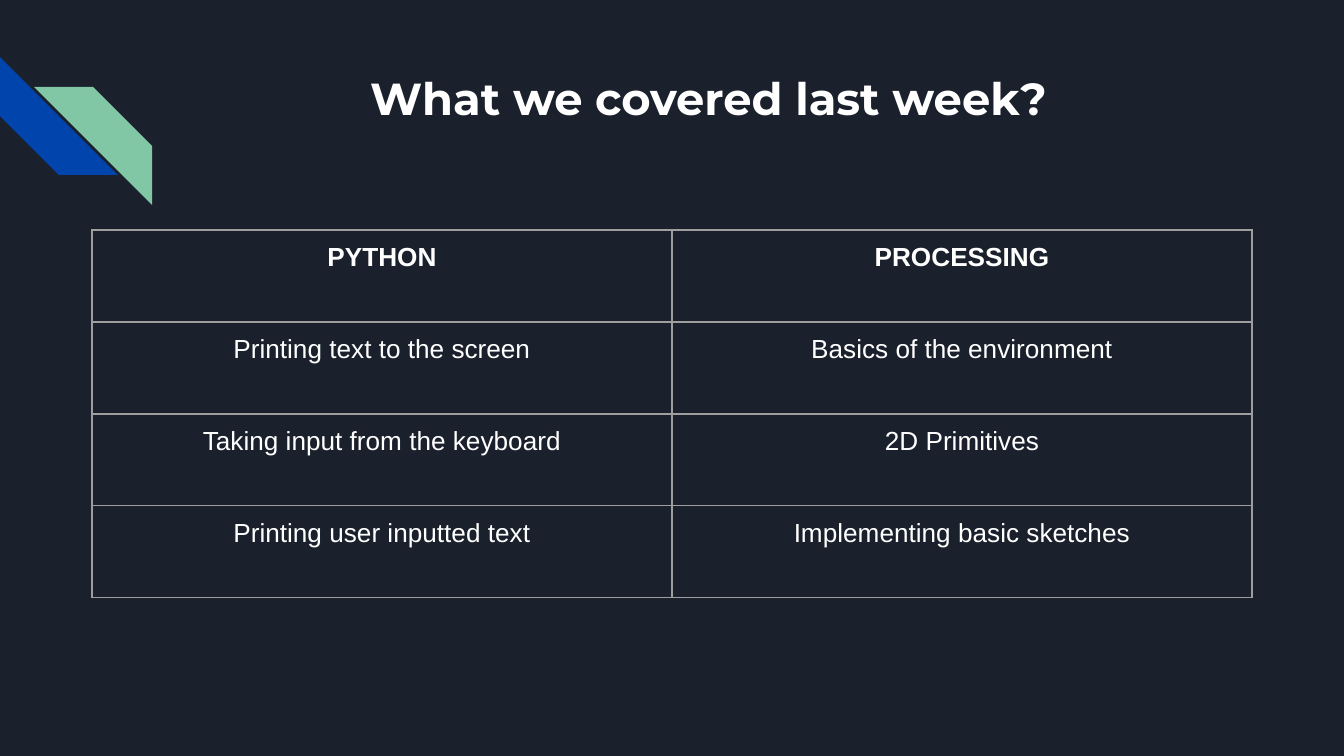
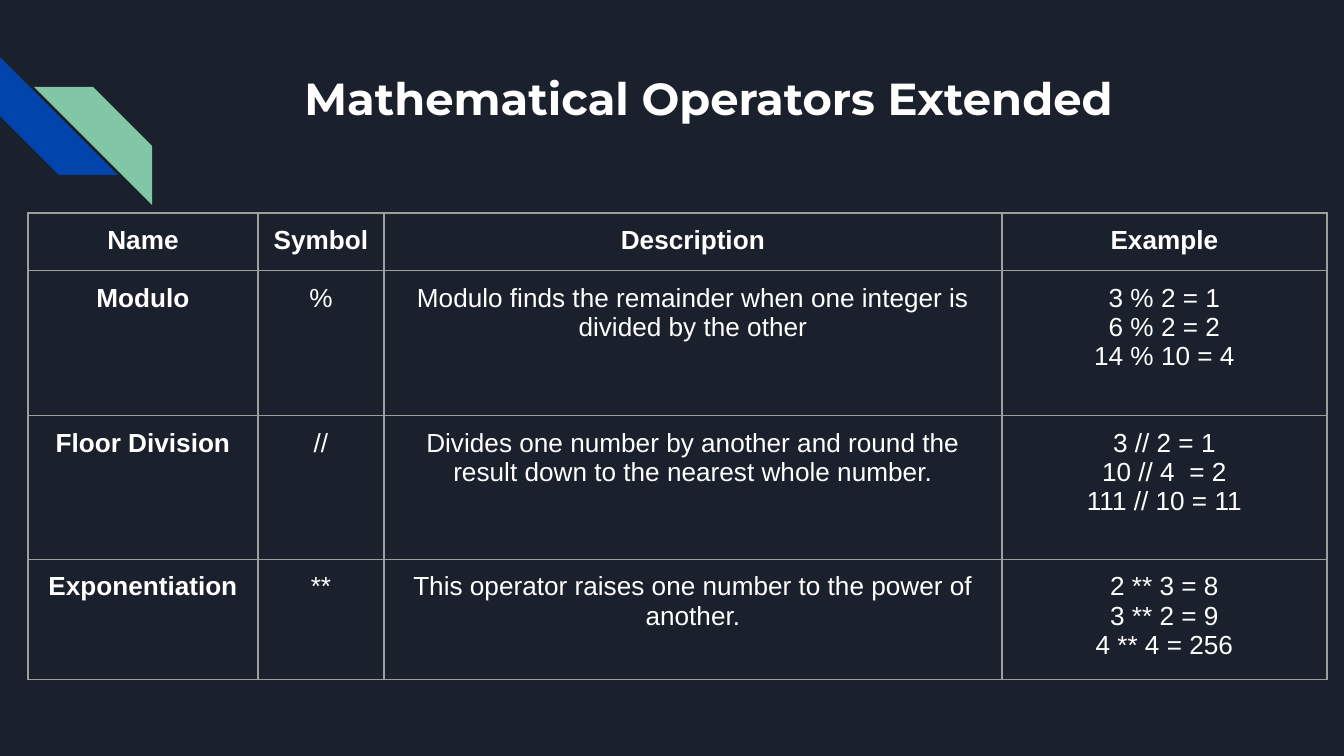
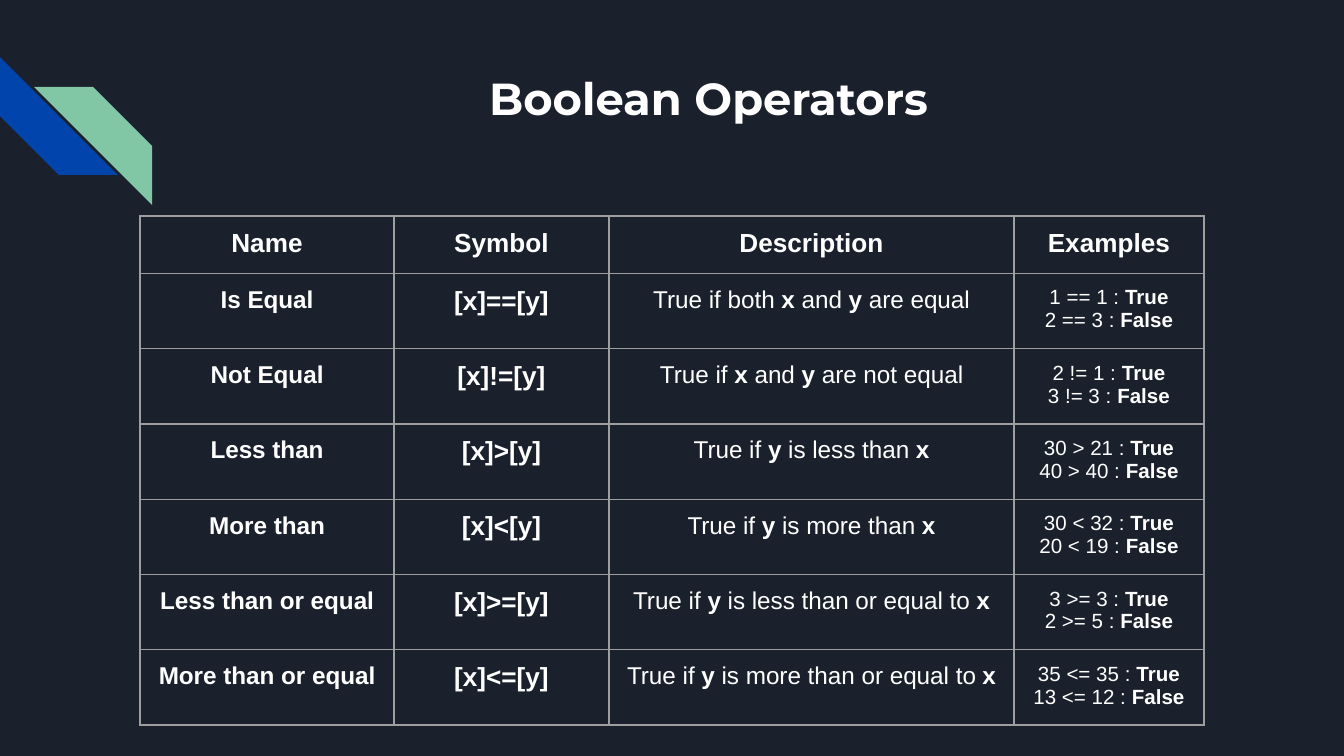
from dataclasses import dataclass

from lxml import etree
from pptx import Presentation
from pptx import util as u
from pptx.dml.color import RGBColor
from pptx.enum import shapes, text
from pptx.oxml import ns

EMU_PER_PX = 914400 / 134.4
SLIDE_W, SLIDE_H = 1344, 756
INSET = 13


@dataclass(frozen=True)
class Theme:
    background: str = "1B212C"
    ink: str = "FFFFFF"
    blue: str = "0145AC"
    green: str = "82C7A5"
    rule: str = "9E9E9E"
    rule_pt: float = 0.75
    title_font: str = "Montserrat"
    body_font: str = "Arial"
    title_pt: int = 24
    body_pt: int = 14
    detail_pt: int = 13
    example_pt: int = 11


THEME = Theme()

# Column formats: (size, bold)
PLAIN = (THEME.body_pt, False)
STRONG = (THEME.body_pt, True)
DETAIL = (THEME.detail_pt, False)
DETAIL_STRONG = (THEME.detail_pt, True)
EXAMPLE = (THEME.example_pt, False)

LAST_WEEK = [
    ("PYTHON", "PROCESSING"),
    ("Printing text to the screen", "Basics of the environment"),
    ("Taking input from the keyboard", "2D Primitives"),
    ("Printing user inputted text", "Implementing basic sketches"),
]

MATH_OPERATORS = [
    ("Name", "Symbol", "Description", "Example"),
    ("Modulo", "%",
     "Modulo finds the remainder when one integer is divided by the other",
     "3 % 2 = 1\n6 % 2 = 2\n14 % 10 = 4"),
    ("Floor Division", "//",
     "Divides one number by another and round the result down to the nearest whole number.",
     "3 // 2 = 1\n10 // 4  = 2\n111 // 10 = 11"),
    ("Exponentiation", "**",
     "This operator raises one number to the power of another.",
     "2 ** 3 = 8\n3 ** 2 = 9\n4 ** 4 = 256"),
]

BOOLEAN_OPERATORS = [
    ("Name", "Symbol", "Description", "Examples"),
    ("Is Equal", "[x]==[y]", "True if both `x` and `y` are equal",
     "1 == 1 : `True`\n2 == 3 : `False`"),
    ("Not Equal", "[x]!=[y]", "True if `x` and `y` are not equal",
     "2 != 1 : `True`\n3 != 3 : `False`"),
    ("Less than", "[x]>[y]", "True if `y` is less than `x`",
     "30 > 21 : `True`\n40 > 40 : `False`"),
    ("More than", "[x]<[y]", "True if `y` is more than `x`",
     "30 < 32 : `True`\n20 < 19 : `False`"),
    ("Less than or equal", "[x]>=[y]", "True if `y` is less than or equal to `x`",
     "3 >= 3 : `True`\n2 >= 5 : `False`"),
    ("More than or equal", "[x]<=[y]", "True if `y` is more than or equal to `x`",
     "35 <= 35 : `True`\n13 <= 12 : `False`"),
]


def px(n):
    return u.Emu(round(n * EMU_PER_PX))


def rgb(color):
    return RGBColor.from_string(color)


def write(tf, content, *, size=THEME.body_pt, font=THEME.body_font, bold=False,
          color=THEME.ink, align=text.PP_ALIGN.CENTER):
    """Write one paragraph per line; backticks enclose bold words."""
    tf.word_wrap = True
    for i, line in enumerate(content.split("\n")):
        p = tf.paragraphs[0] if i == 0 else tf.add_paragraph()
        p.alignment = align
        for j, part in enumerate(line.split("`")):
            if not part:
                continue
            r = p.add_run()
            r.text = part
            r.font.name = font
            r.font.size = u.Pt(size)
            r.font.bold = bold or j % 2 == 1
            r.font.color.rgb = rgb(color)


def set_margins(box):
    """Give a text frame or a table cell equal insets."""
    box.margin_left = box.margin_right = px(INSET)
    box.margin_top = box.margin_bottom = px(INSET)


def add_stripe(s, left, top, color, rotation):
    sp = s.shapes.add_shape(shapes.MSO_SHAPE.DIAGONAL_STRIPE,
                            px(left), px(top), px(118), px(118))
    sp.adjustments[0] = 0.5
    sp.rotation = rotation
    sp.shadow.inherit = False
    sp.fill.solid()
    sp.fill.fore_color.rgb = rgb(color)
    sp.line.fill.background()


def add_title(s, title):
    sp = s.shapes.add_textbox(px(191), px(58), px(1035), px(134))
    set_margins(sp.text_frame)
    write(sp.text_frame, title, size=THEME.title_pt, font=THEME.title_font, bold=True)


def add_slide(prs, title):
    s = prs.slides.add_slide(prs.slide_layouts[6])
    s.background.fill.solid()
    s.background.fill.fore_color.rgb = rgb(THEME.background)
    add_stripe(s, 0, 57, THEME.blue, 270)
    add_stripe(s, 34, 87, THEME.green, 90)
    add_title(s, title)
    return s


def set_borders(cell):
    tc_pr = cell._tc.get_or_add_tcPr()
    for i, side in enumerate(("a:lnL", "a:lnR", "a:lnT", "a:lnB")):
        ln = etree.Element(ns.qn(side), w=str(u.Pt(THEME.rule_pt)))
        fill = etree.SubElement(ln, ns.qn("a:solidFill"))
        etree.SubElement(fill, ns.qn("a:srgbClr"), val=THEME.rule)
        tc_pr.insert(i, ln)


def add_grid(s, rows, left, top, widths, heights, formats):
    """Add a ruled table with a bold heading row and one format per column."""
    table = s.shapes.add_table(len(rows), len(widths), px(left), px(top),
                               px(sum(widths)), px(sum(heights))).table
    table.first_row = table.horz_banding = False
    for column, width in zip(table.columns, widths):
        column.width = px(width)
    for i, (row, height) in enumerate(zip(rows, heights)):
        table.rows[i].height = px(height)
        for j, content in enumerate(row):
            cell = table.cell(i, j)
            size, bold = formats[j] if i else STRONG
            set_margins(cell)
            cell.fill.background()
            set_borders(cell)
            write(cell.text_frame, content, size=size, bold=bold)


def main():
    prs = Presentation()
    prs.slide_width, prs.slide_height = px(SLIDE_W), px(SLIDE_H)

    s = add_slide(prs, "What we covered last week?")
    add_grid(s, LAST_WEEK, 92, 230, [580] * 2, [92] * 4, [PLAIN] * 2)

    s = add_slide(prs, "Mathematical Operators Extended")
    add_grid(s, MATH_OPERATORS, 28, 213, [230, 126, 618, 325], [56, 145, 144, 115],
             [STRONG, PLAIN, PLAIN, PLAIN])

    s = add_slide(prs, "Boolean Operators")
    add_grid(s, BOOLEAN_OPERATORS, 140, 216, [254, 215, 405, 190], [56] + [72] * 6,
             [DETAIL_STRONG, STRONG, DETAIL, EXAMPLE])

    prs.save("out.pptx")


if __name__ == "__main__":
    main()
